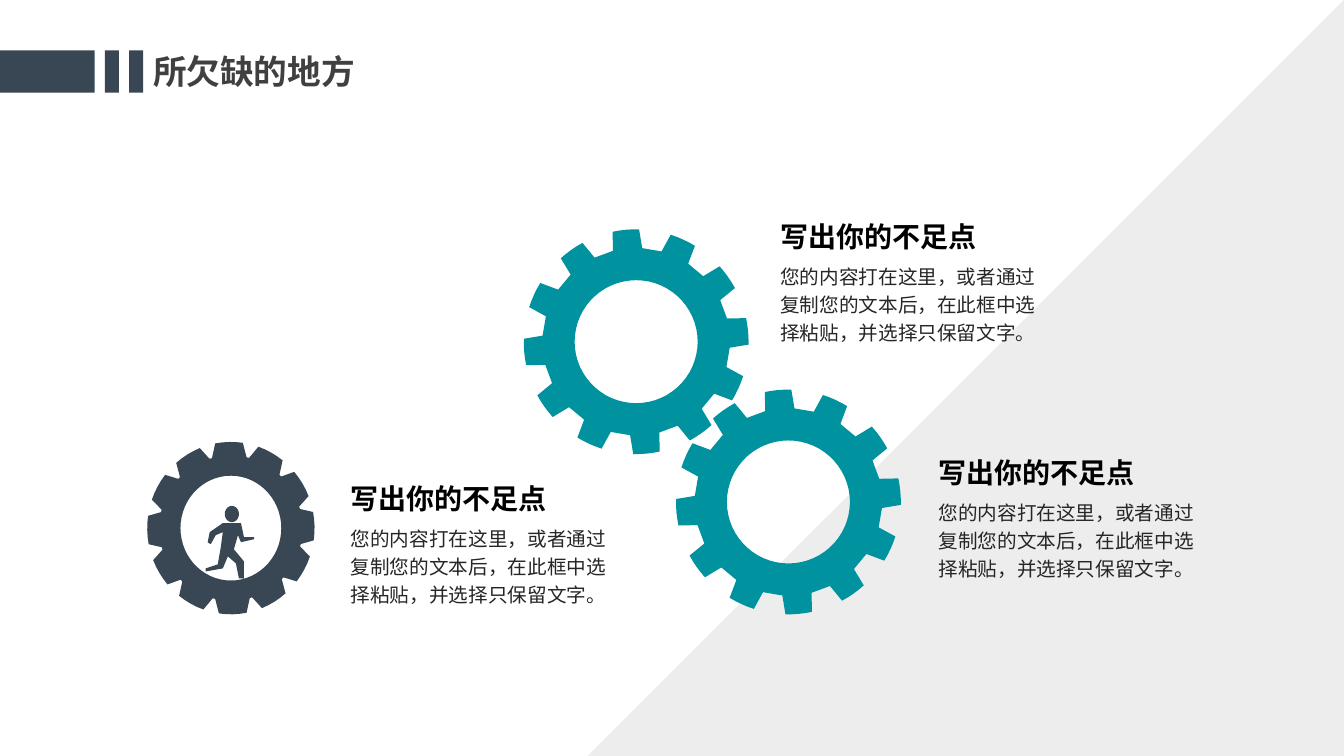
from math import cos, radians, sin

from lxml import etree
from pptx import Presentation
from pptx import util as u
from pptx.dml.color import RGBColor
from pptx.enum import shapes, text
from pptx.oxml.ns import qn

NAVY = RGBColor(0x39, 0x47, 0x54)
TEAL = RGBColor(0x00, 0x93, 0x9F)
PALE = RGBColor(0xE7, 0xE6, 0xE6)
GREY = RGBColor(0x40, 0x40, 0x40)
DARK = RGBColor(0x26, 0x26, 0x26)
BLACK = RGBColor(0, 0, 0)
HEAD, BODY = "Arial", "Noto Sans CJK SC"

TITLE = "所欠缺的地方"
POINT = "写出你的不足点"
DETAIL = "您的内容打在这里，或者通过复制您的文本后，在此框中选择粘贴，并选择只保留文字。"
NOTES = [(3.38, 4.63), (7.64, 2.03), (9.21, 4.37)]
BARS = [(0, 0.94), (1.04, 0.14), (1.28, 0.14)]

TEETH = 12
# tooth centre angle, half angles at root and tip, radii of root and tip
WIDE = dict(turn=-5.3, root=(9, 0.93, 0.93), tip=(6.8, 1.115, 1.115))
SMALL = dict(turn=-1.3, root=(14, 0.71, 0.72), tip=(9.5, 0.83, 0.855))
PAIR = [(6.31, 3.39), (7.82, 4.98)]
HUB = (2.29, 5.24)
RUNNER = [
    (2.06, 5.38), (2.08, 5.28), (2.21, 5.19), (2.39, 5.19), (2.42, 5.33),
    (2.52, 5.33), (2.52, 5.35), (2.39, 5.38), (2.36, 5.31), (2.32, 5.45),
    (2.42, 5.57), (2.42, 5.74), (2.37, 5.74), (2.34, 5.59), (2.26, 5.52),
    (2.21, 5.64), (2.04, 5.67), (2.04, 5.64), (2.16, 5.60), (2.19, 5.43),
    (2.21, 5.28), (2.14, 5.31), (2.09, 5.40),
]

deck = Presentation()
deck.slide_width, deck.slide_height = u.Inches(13.33), u.Inches(7.5)
slide = deck.slides.add_slide(deck.slide_layouts[6])


def paint(shape, color):
    shape.shadow.inherit = False
    shape.fill.solid()
    shape.fill.fore_color.rgb = color
    shape.line.fill.background()


def block(home, kind, box, color):
    shape = home.add_shape(kind, *map(u.Inches, box))
    paint(shape, color)
    return shape


def polar(hub, angle, wide, high):
    """Point on an ellipse, the angle running clockwise from the top."""
    turn = radians(angle)
    return hub[0] + wide * sin(turn), hub[1] - high * cos(turn)


def ring(hub, wide, high):
    return [polar(hub, a, wide, high) for a in range(0, 360, 6)]


def gear(hub, turn, root, tip):
    (foot, *low), (half, *top) = root, tip
    rim = []
    for k in range(TEETH):
        mid = turn + k * 360 / TEETH
        rim.append(polar(hub, mid - foot, *low))
        rim += [polar(hub, mid + half * s, *top) for s in (-1, -0.5, 0, 0.5, 1)]
        rim.append(polar(hub, mid + foot, *low))
    return rim


def outline(loops, color):
    """One shape of several closed loops; inner loops cut holes."""
    pen = None
    for loop in loops:
        first, *rest = [tuple(map(u.Inches, p)) for p in loop]
        if pen is None:
            pen = slide.shapes.build_freeform(*first, scale=1.0)
        else:
            pen.move_to(*first)
        pen.add_line_segments(rest, close=True)
    paint(pen.convert_to_shape(), color)


def write(box, words, size, font, color, bold=False, gap=None, wrap=True):
    frame = slide.shapes.add_textbox(*map(u.Inches, box)).text_frame
    frame.word_wrap = wrap
    frame.auto_size = text.MSO_AUTO_SIZE.SHAPE_TO_FIT_TEXT
    para = frame.paragraphs[0]
    if gap:
        para.line_spacing = gap
    run = para.add_run()
    run.text = words
    run.font.size, run.font.bold = u.Pt(size), bold
    run.font.color.rgb = color
    run.font.name = font
    east = etree.SubElement(run.font._element, qn("a:ea"))
    east.set("typeface", BODY)


kind = shapes.MSO_SHAPE
corner = block(slide.shapes, kind.RIGHT_TRIANGLE, (5.83, 0, 7.5, 7.5), PALE)
corner._element.spPr.find(qn("a:xfrm")).set("flipH", "1")
tint = corner._element.spPr.find(qn("a:solidFill"))[0]
etree.SubElement(tint, qn("a:alpha")).set("val", "70000")

group = slide.shapes.add_group_shape()
for left, wide in BARS:
    block(group.shapes, kind.RECTANGLE, (left, 0.5, wide, 0.42), NAVY)
write((1.42, 0.46, 2.22, 0.5), TITLE, 24, HEAD, GREY, bold=True, wrap=False)

outline([loop for hub in PAIR
         for loop in (gear(hub, **WIDE), ring(hub, 0.61, 0.61))], TEAL)
outline([gear(HUB, **SMALL), ring(HUB, 0.5, 0.52), RUNNER,
         ring((2.3, 5.1), 0.07, 0.08)], NAVY)

for left, top in NOTES:
    write((left, top + 0.5, 2.86, 0.95), DETAIL, 14, BODY, DARK, gap=1.2)
    write((left, top, 2.58, 0.5), POINT, 20, HEAD, BLACK, bold=True, gap=1.3)

deck.save("out.pptx")
